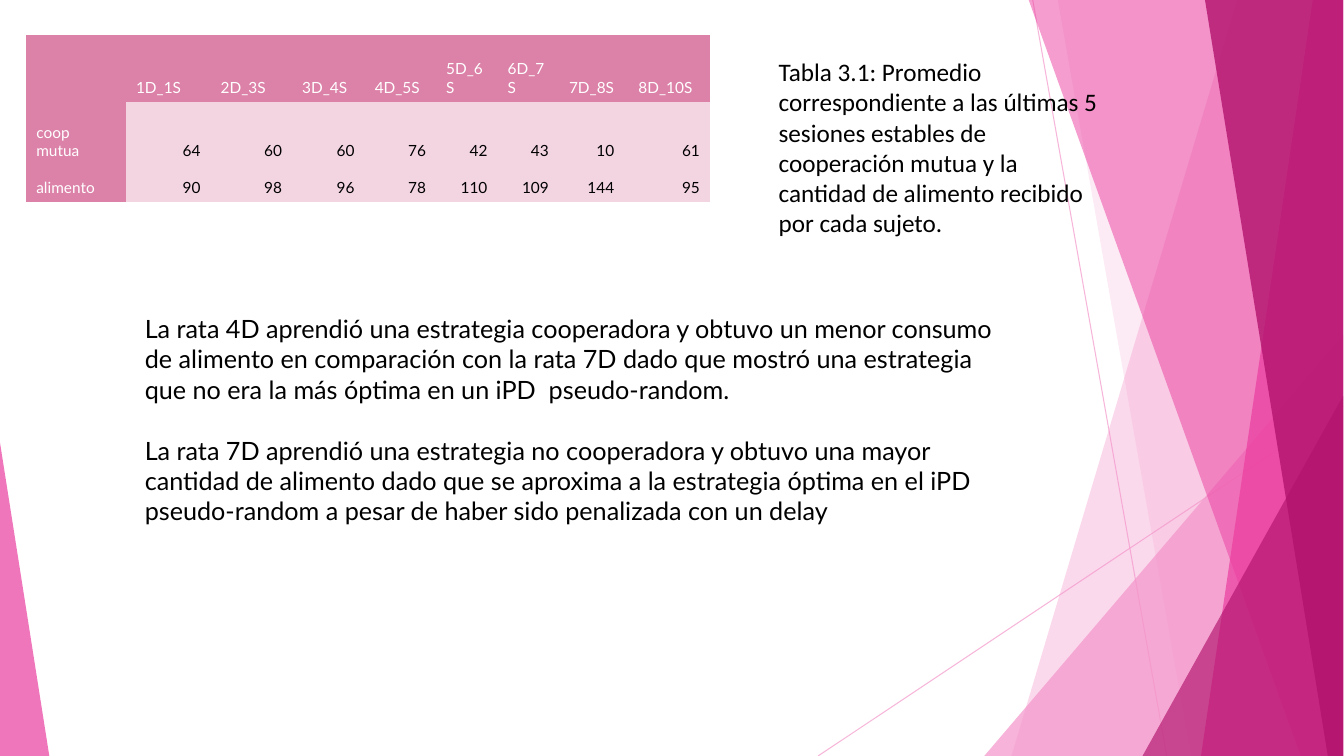
from dataclasses import dataclass

from pptx import Presentation, util as u
from pptx.dml.color import RGBColor
from pptx.enum import shapes, text
from pptx.oxml.ns import qn
from lxml import etree

HEADER = ["", "1D_1S", "2D_3S", "3D_4S", "4D_5S", " 5D_6S", " 6D_7S", " 7D_8S", " 8D_10S"]
ROWS = [
    ["coop mutua", 64, 60, 60, 76, 42, 43, 10, 61],
    ["alimento", 90, 98, 96, 78, 110, 109, 144, 95],
]
CAPTION = [
    "Tabla 3.1: Promedio correspondiente a las últimas 5 sesiones estables de "
    "cooperación mutua y la cantidad de alimento recibido por cada sujeto.",
]
CONCLUSIONS = [
    "La rata 4D aprendió una estrategia cooperadora y obtuvo un menor consumo de alimento "
    "en comparación con la rata 7D dado que mostró una estrategia que no era la más óptima "
    "en un iPD  pseudo-random.",
    "La rata 7D aprendió una estrategia no cooperadora y obtuvo una mayor cantidad de alimento "
    "dado que se aproxima a la estrategia óptima en el iPD pseudo-random a pesar de haber sido "
    "penalizada con un delay",
]


@dataclass(frozen=True)
class Theme:
    light: str = "F496CB"
    bright: str = "EB3D9F"
    deep: str = "B2136D"
    heading: str = "DC81A8"
    cell: str = "F3D5E2"
    white: str = "FFFFFF"
    black: str = "000000"
    caption_font: str = "Calibri"
    body_font: str = "Lato"
    body_size: int = 18
    table_size: int = 11
    paragraph_gap: int = 22
    hairline: float = 0.75


THEME = Theme()
WIDTH, HEIGHT = u.Inches(13.34), u.Inches(7.5)
NO_GRID_STYLE = "{2D5ABB26-0587-4C30-8999-92F81FD0307C}"

# All lengths below are percentages of the slide's width or height.
RAYS = [((76.84, 0), (86.81, 100)), ((99.93, 53.73), (60.87, 100))]
FACETS = [
    ("band", (92.05, 75.26), THEME.light, 36),
    ("band", (78.71, 88.61), THEME.light, 20),
    ("corner", (73.24, 44.4, 26.69, 1), THEME.light, 72),
    ("band", (76.54, 96.78), THEME.bright, 50),
    ("band", (97.68, 89.36), THEME.bright, 70),
    ("band", (89.66, 98.8), THEME.deep, 80),
    ("corner", (85.01, 52.4, 14.92, 1), THEME.deep, 66),
    ("corner", (0, 58.53, 3.67, 0), THEME.bright, 70),
]
RIGHT_EDGE = 99.93
TABLE_ORIGIN = (1.95, 4.67)
TABLE_COLUMNS = [7.42, 6.3, 6.07, 5.4, 5.32, 4.57, 4.57, 4.87, 6.37]
TABLE_ROWS = [8.8, 8.4, 4.8]
CAPTION_BOX = (57.2, 6.8, 26.16, 25.33)
CONCLUSIONS_BOX = (10.04, 40.8, 66.57, 29.33)


def across(share):
    return round(WIDTH * share / 100)


def down(share):
    return round(HEIGHT * share / 100)


def place(left, top, width, height):
    return across(left), down(top), across(width), down(height)


def set_opacity(item, percent):
    for color in item._element.spPr.iter(qn("a:srgbClr")):
        etree.SubElement(color, qn("a:alpha")).set("val", str(percent * 1000))


def add_ray(slide, start, end):
    ray = slide.shapes.add_connector(
        shapes.MSO_CONNECTOR.STRAIGHT,
        across(start[0]), down(start[1]), across(end[0]), down(end[1]))
    ray.line.color.rgb = RGBColor.from_string(THEME.light)
    ray.line.width = u.Pt(THEME.hairline)
    set_opacity(ray, 70)
    etree.SubElement(ray._element.spPr, qn("a:effectLst"))


def add_facet(slide, kind, geometry, color, opacity):
    if kind == "band":
        top_x, bottom_x = geometry
        builder = slide.shapes.build_freeform(across(top_x), 0)
        corners = [(RIGHT_EDGE, 0), (RIGHT_EDGE, 100), (bottom_x, 100)]
        builder.add_line_segments([(across(x), down(y)) for x, y in corners], close=True)
        facet = builder.convert_to_shape()
    else:
        left, top, width, apex = geometry
        facet = slide.shapes.add_shape(
            shapes.MSO_SHAPE.ISOSCELES_TRIANGLE, *place(left, top, width, 100 - top))
        facet.adjustments[0] = apex
    facet.shadow.inherit = False
    facet.fill.solid()
    facet.fill.fore_color.rgb = RGBColor.from_string(color)
    facet.line.fill.background()
    set_opacity(facet, opacity)


def add_run(paragraph, content, font, size, color):
    run = paragraph.add_run()
    run.text = content
    run.font.name = font
    run.font.size = u.Pt(size)
    run.font.color.rgb = RGBColor.from_string(color)


def add_text(slide, box, paragraphs, font):
    frame = slide.shapes.add_textbox(*place(*box)).text_frame
    frame.word_wrap = True
    for index, content in enumerate(paragraphs):
        paragraph = frame.add_paragraph() if index else frame.paragraphs[0]
        if index:
            paragraph.space_before = u.Pt(THEME.paragraph_gap)
        add_run(paragraph, content, font, THEME.body_size, THEME.black)


def add_results(slide):
    grid = [HEADER] + ROWS
    box = place(*TABLE_ORIGIN, sum(TABLE_COLUMNS), sum(TABLE_ROWS))
    table = slide.shapes.add_table(len(grid), len(HEADER), *box).table
    table.horz_banding = False
    table._tbl.tblPr.find(qn("a:tableStyleId")).text = NO_GRID_STYLE
    for column, share in zip(table.columns, TABLE_COLUMNS):
        column.width = across(share)
    for row, share in zip(table.rows, TABLE_ROWS):
        row.height = down(share)
    for row_index, values in enumerate(grid):
        for column_index, value in enumerate(values):
            is_heading = row_index == 0 or column_index == 0
            cell = table.cell(row_index, column_index)
            cell.vertical_anchor = text.MSO_ANCHOR.BOTTOM
            cell.fill.solid()
            cell.fill.fore_color.rgb = RGBColor.from_string(
                THEME.heading if is_heading else THEME.cell)
            paragraph = cell.text_frame.paragraphs[0]
            if not is_heading:
                paragraph.alignment = text.PP_ALIGN.RIGHT
            if value != "":
                add_run(paragraph, str(value), THEME.body_font, THEME.table_size,
                        THEME.white if is_heading else THEME.black)


def main():
    presentation = Presentation()
    presentation.slide_width, presentation.slide_height = WIDTH, HEIGHT
    slide = presentation.slides.add_slide(presentation.slide_layouts[6])
    for start, end in RAYS:
        add_ray(slide, start, end)
    for facet in FACETS:
        add_facet(slide, *facet)
    add_text(slide, CAPTION_BOX, CAPTION, THEME.caption_font)
    add_text(slide, CONCLUSIONS_BOX, CONCLUSIONS, THEME.body_font)
    add_results(slide)
    presentation.save("out.pptx")


if __name__ == "__main__":
    main()
